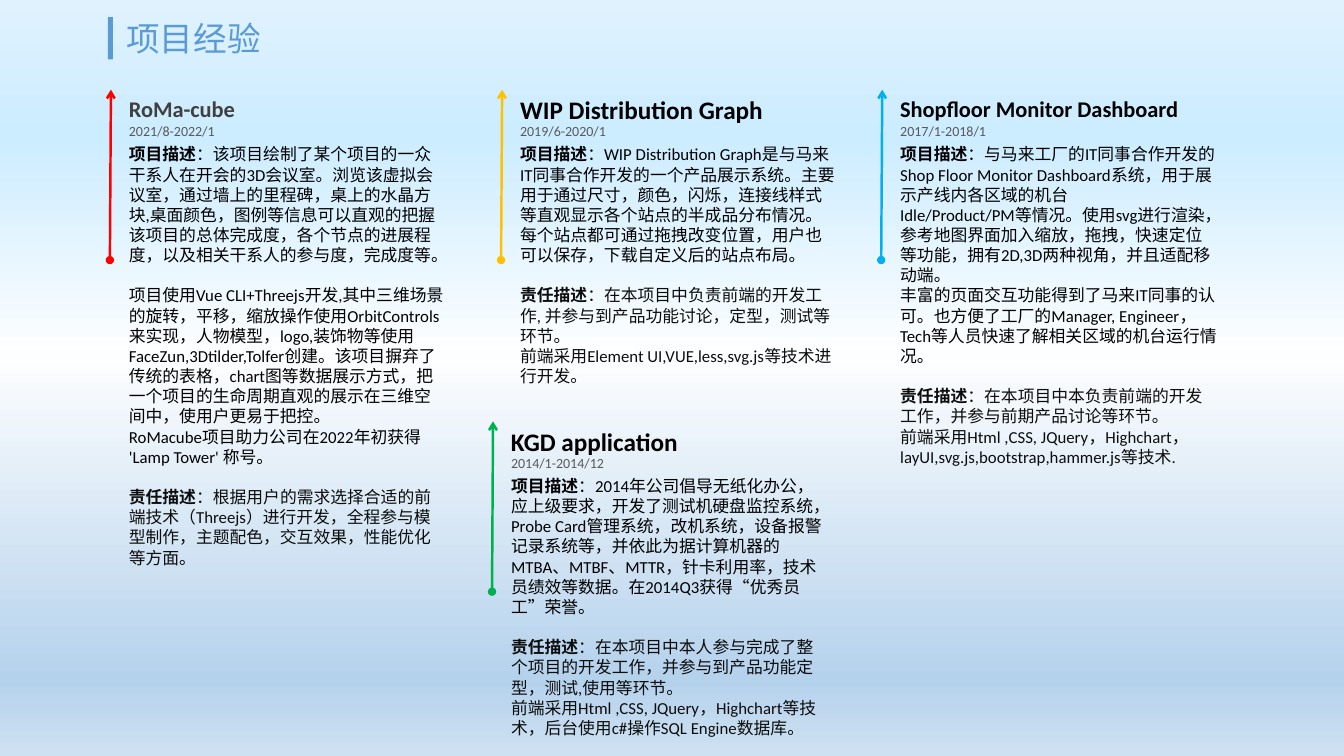
import pptx
import pptx.dml.color
import pptx.enum.dml
import pptx.enum.shapes
import pptx.enum.text
import pptx.oxml
import pptx.oxml.ns
import pptx.util
import lxml.etree

Inches = pptx.util.Inches
Pt = pptx.util.Pt
qn = pptx.oxml.ns.qn

COLOURS = {
    "accent": "5B9BD5", "black": "000000", "ink": "0D0D0D",
    "grey": "404040", "date": "595959",
    "red": "FF0000", "amber": "FFC000", "blue": "00B0F0", "green": "00B050",
}
BACKGROUND = [(0, "E0F2FE"), (18, "CCECFF"), (47, "FDFEFF"), (90, "B5D2EC"), (100, "CEE1F2")]
FONT = "Calibri"
ABOUT = "项目描述"
DUTY = "责任描述"

PROJECTS = [
    {
        "box": (1.09, 0.89, 3.44), "line": "red", "name": "RoMa-cube",
        "name_size": 16, "name_colour": "grey", "date": "2021/8-2022/1",
        "about": [
            "该项目绘制了某个项目的一众干系人在开会的3D会议室。浏览该虚拟会议室，通过墙上的里程碑，"
            "桌上的水晶方块,桌面颜色，图例等信息可以直观的把握该项目的总体完成度，各个节点的进展程度，"
            "以及相关干系人的参与度，完成度等。\n"
            "项目使用Vue CLI+Threejs开发,其中三维场景的旋转，平移，缩放操作使用OrbitControls来实现，"
            "人物模型，logo,装饰物等使用FaceZun,3Dtilder,Tolfer创建。该项目摒弃了传统的表格，"
            "chart图等数据展示方式，把一个项目的生命周期直观的展示在三维空间中，使用户更易于把控。\n"
            "RoMacube项目助力公司在2022年初获得 'Lamp Tower' 称号。",
        ],
        "duty": [
            "根据用户的需求选择合适的前端技术（Threejs）进行开发，全程参与模型制作，"
            "主题配色，交互效果，性能优化等方面。",
        ],
    },
    {
        "box": (4.97, 0.89, 3.44), "line": "amber", "name": "WIP Distribution Graph",
        "name_size": 18, "name_colour": "black", "date": "2019/6-2020/1",
        "about": [
            "WIP Distribution Graph是与马来IT同事合作开发的一个产品展示系统。主要用于通过尺寸，颜色，"
            "闪烁，连接线样式等直观显示各个站点的半成品分布情况。每个站点都可通过拖拽改变位置，"
            "用户也可以保存，下载自定义后的站点布局。",
        ],
        "duty": [
            "在本项目中负责前端的开发工作, 并参与到产品功能讨论，定型，测试等环节。",
            "前端采用Element UI,VUE,less,svg.js等技术进行开发。",
        ],
    },
    {
        "box": (8.74, 0.89, 3.44), "line": "blue", "name": "Shopfloor Monitor Dashboard",
        "name_size": 16, "name_colour": "black", "date": "2017/1-2018/1",
        "about": [
            "与马来工厂的IT同事合作开发的Shop Floor Monitor Dashboard系统，用于展示产线内各区域的机台",
            "Idle/Product/PM等情况。使用svg进行渲染，参考地图界面加入缩放，拖拽，快速定位等功能，"
            "拥有2D,3D两种视角，并且适配移动端。",
            "丰富的页面交互功能得到了马来IT同事的认可。也方便了工厂的Manager, Engineer，"
            "Tech等人员快速了解相关区域的机台运行情况。",
        ],
        "duty": [
            "在本项目中本负责前端的开发工作，并参与前期产品讨论等环节。",
            "前端采用Html ,CSS, JQuery，Highchart，layUI,svg.js,bootstrap,hammer.js等技术.",
        ],
    },
    {
        "box": (4.88, 4.18, 3.44), "line": "green", "name": "KGD application",
        "name_size": 18, "name_colour": "black", "date": "2014/1-2014/12",
        "about": [
            "2014年公司倡导无纸化办公，应上级要求，开发了测试机硬盘监控系统，Probe Card管理系统，"
            "改机系统，设备报警记录系统等，并依此为据计算机器的MTBA、MTBF、MTTR，针卡利用率，"
            "技术员绩效等数据。在2014Q3获得“优秀员工”荣誉。",
        ],
        "duty": [
            "在本项目中本人参与完成了整个项目的开发工作，并参与到产品功能定型，测试,使用等环节。",
            "前端采用Html ,CSS, JQuery，Highchart等技术，后台使用c#操作SQL Engine数据库。",
        ],
    },
]


def rgb(name):
    return pptx.dml.color.RGBColor.from_string(COLOURS[name])


def paint_background(page):
    fill = page.background.fill
    fill.gradient()
    fill.gradient_angle = 270
    stops = next(page.element.iter(qn("a:gsLst")))
    for stop in list(stops):
        stops.remove(stop)
    for percent, colour in BACKGROUND:
        stop = lxml.etree.SubElement(stops, qn("a:gs"), pos=str(percent * 1000))
        lxml.etree.SubElement(stop, qn("a:srgbClr"), val=colour)


def add_text_frame(page, left, top, width, height):
    frame = page.shapes.add_textbox(Inches(left), Inches(top), Inches(width), Inches(height)).text_frame
    frame.word_wrap = True
    return frame


def style(para, size, colour, bold=None):
    para.font.name = FONT
    para.font.size = Pt(size)
    para.font.color.rgb = rgb(colour)
    para.font.bold = bold


def add_label(page, box, text, size, colour, bold=None):
    para = add_text_frame(page, *box).paragraphs[0]
    para.text = text
    style(para, size, colour, bold)
    return para


def add_section(frame, heading, texts, colour, gap):
    for index, text in enumerate(texts):
        para = frame.add_paragraph() if gap or index else frame.paragraphs[0]
        style(para, 12, colour)
        if index == 0:
            para.space_before = Pt(gap)
            span = para.add_run()
            span.text = heading
            span.font.bold = True
            text = "：" + text
        for number, piece in enumerate(text.split("\n")):
            if number:
                para.add_line_break()
            para.add_run().text = piece


def add_arrow(page, left, top, height, colour):
    arrow = page.shapes.add_connector(
        pptx.enum.shapes.MSO_CONNECTOR.STRAIGHT,
        Inches(left), Inches(top + height), Inches(left + 0.01), Inches(top))
    arrow.line.color.rgb = rgb(colour)
    arrow.line.width = Pt(1.75)
    line = arrow.line._get_or_add_ln()
    for tag, kind in (("a:headEnd", "oval"), ("a:tailEnd", "arrow")):
        lxml.etree.SubElement(line, qn(tag), type=kind)
    lxml.etree.SubElement(arrow.element.spPr, qn("a:effectLst"))


def add_project(page, project):
    left, top, width = project["box"]
    text_left = left + 0.09
    add_arrow(page, left, top, 1.69, project["line"])
    add_label(page, (text_left, top, 3.03, 0.4), project["name"],
              project["name_size"], project["name_colour"], True)
    add_label(page, (text_left, top + 0.28, 2.41, 0.27), project["date"], 10, "date")
    frame = add_text_frame(page, text_left, top + 0.49, width - 0.09, 2.52)
    add_section(frame, ABOUT, project["about"], "black", 0)
    add_section(frame, DUTY, project["duty"], "ink", 14.4)


def add_title(page, left, top, width, height):
    bar = page.shapes.add_shape(
        pptx.enum.shapes.MSO_SHAPE.RECTANGLE,
        Inches(left + 0.22), Inches(top + 0.04), Inches(0.05), Inches(height - 0.08))
    bar.shadow.inherit = False
    bar.fill.solid()
    bar.fill.fore_color.rgb = rgb("accent")
    bar.line.fill.background()
    para = add_label(page, (left, top, width, height), "项目经验", 24, "accent")
    para.alignment = pptx.enum.text.PP_ALIGN.CENTER


deck = pptx.Presentation()
deck.slide_width = Inches(13.33)
deck.slide_height = Inches(7.5)
page = deck.slides.add_slide(deck.slide_layouts[6])
paint_background(page)
for project in PROJECTS:
    add_project(page, project)
add_title(page, 0.85, 0.13, 2.14, 0.5)
deck.save("out.pptx")
